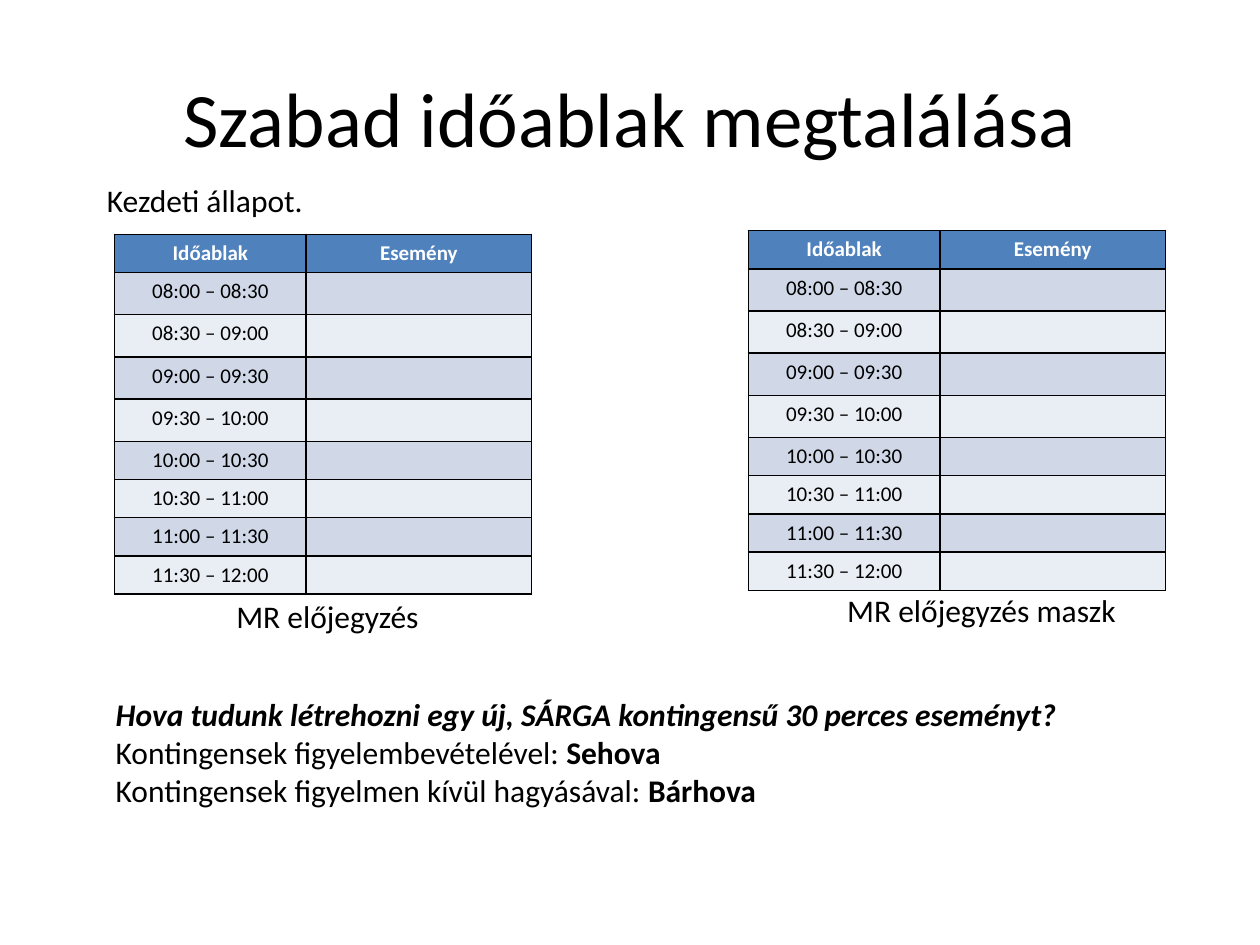
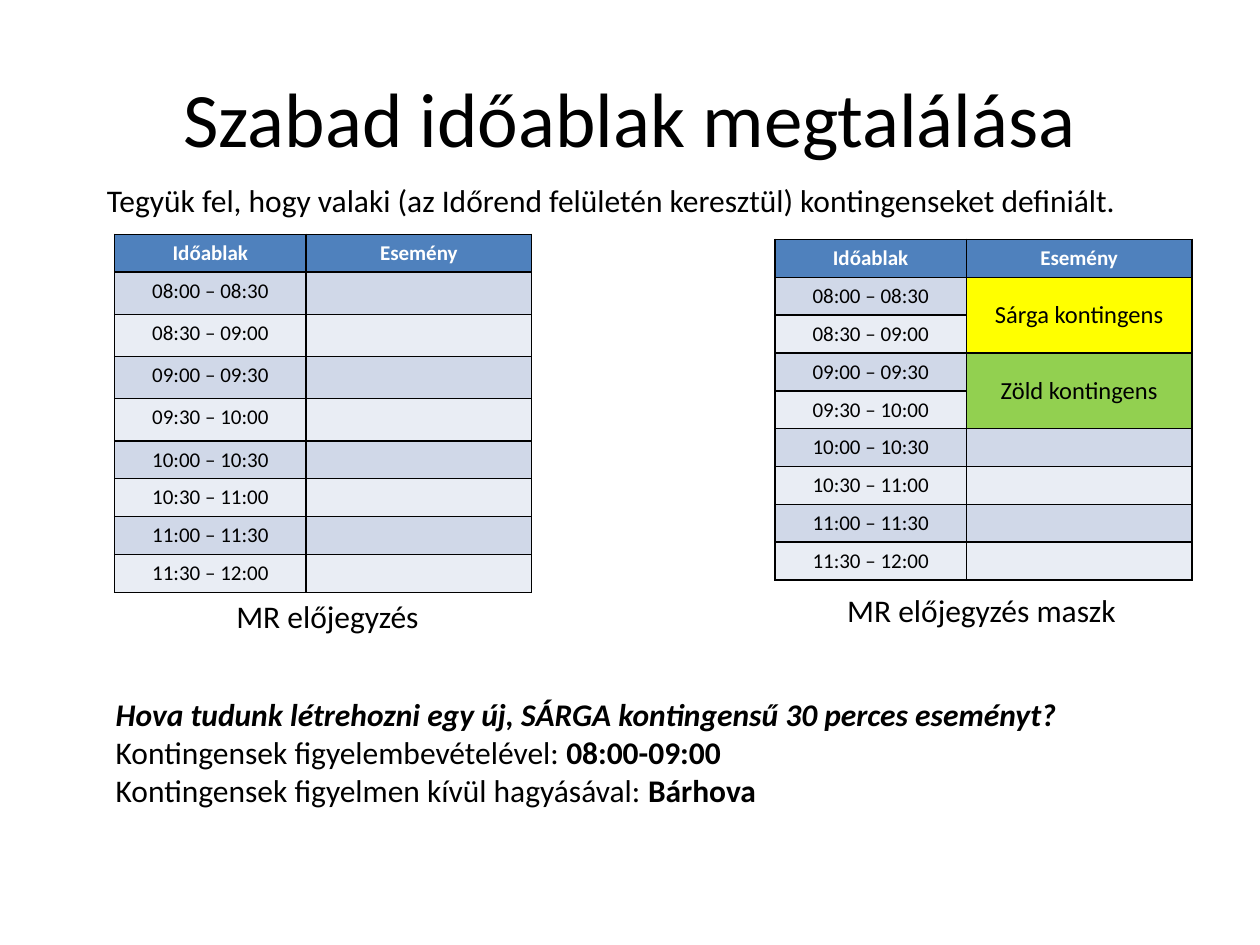
from lxml.etree import SubElement
from pptx import Presentation
from pptx.dml.color import RGBColor
from pptx.enum.text import MSO_ANCHOR as ANCHOR, PP_ALIGN as ALIGN
from pptx.oxml.ns import qn
from pptx.util import Inches, Pt

rgb = RGBColor.from_string
FONT = "Calibri"
BLACK, WHITE, BLUE = "000000", "FFFFFF", "4F81BD"
BANDS = ["D0D8E8", "E9EDF4"]
YELLOW, GREEN = "FFFF00", "92D050"
TIMES = [f"{m // 60:02}:{m % 60:02}" for m in range(480, 721, 30)]
SLOTS = [f"{start} – {end}" for start, end in zip(TIMES, TIMES[1:])]


def write(tf, *lines, size=18, color=BLACK, bold=False, align=ALIGN.LEFT):
    """Fill tf; a line is a string or a list of (text, style), style made of "b" and "i"."""
    for n, line in enumerate(lines):
        p = tf.paragraphs[0] if n == 0 else tf.add_paragraph()
        p.alignment = align
        runs = [(line, "b" if bold else "")] if isinstance(line, str) else line
        for text, style in runs:
            if not text:  # an empty cell keeps its row low only with a set size
                SubElement(p._p, qn("a:endParaRPr"), sz=str(size * 100))
                continue
            r = p.add_run()
            r.text = text
            r.font.name, r.font.size = FONT, Pt(size)
            r.font.bold, r.font.italic = "b" in style, "i" in style
            r.font.color.rgb = rgb(color)


def add_schedule(s, left, top, tall_height, events):
    """Draw the slot table; events maps a row to (text, fill) and covers two rows."""
    rows = len(SLOTS) + 1
    table = s.shapes.add_table(rows, 2, Inches(left), Inches(top),
                               Inches(3.31), Inches(0.3 * rows)).table
    table.columns[0].width, table.columns[1].width = Inches(1.52), Inches(1.79)
    for i, slot in enumerate(["Időablak"] + SLOTS):
        table.rows[i].height = Inches(tall_height if 1 <= i <= 4 else 0.3)
        for j in range(2):
            cell = table.cell(i, j)
            tcPr = cell._tc.get_or_add_tcPr()
            for side in ("a:lnL", "a:lnR", "a:lnT", "a:lnB"):
                ln = SubElement(tcPr, qn(side), w=str(Pt(1)))
                SubElement(SubElement(ln, qn("a:solidFill")), qn("a:srgbClr"), val=BLACK)
            text, fill, size = (slot, "")[j], BANDS[(i - 1) % 2], 12
            if i == 0:
                text, fill = ("Időablak", "Esemény")[j], BLUE
            elif j == 1 and i in events:
                (text, fill), size = events[i], 14
                cell.merge(table.cell(i + 1, j))
                cell.vertical_anchor = ANCHOR.MIDDLE
            cell.fill.solid()
            cell.fill.fore_color.rgb = rgb(fill)
            write(cell.text_frame, text, size=size, bold=i == 0,
                  color=WHITE if i == 0 else BLACK, align=ALIGN.CENTER)


prs = Presentation()
prs.slide_width, prs.slide_height = Inches(10), Inches(7.5)

# intro, intro width, answer, mask table (left, top, height of rows 1-4), mask events
SLIDES = [
    ("Kezdeti állapot.", 1.78, "Sehova", (5.94, 1.83, 0.335), {}),
    ("Tegyük fel, hogy valaki (az Időrend felületén keresztül) kontingenseket definiált.",
     8.38, "08:00-09:00", (6.15, 1.9, 0.3),
     {1: ("Sárga kontingens", YELLOW), 3: ("Zöld kontingens", GREEN)}),
]

for intro, intro_width, answer, mask_place, mask_events in SLIDES:
    s = prs.slides.add_slide(prs.slide_layouts[6])
    add_schedule(s, 0.91, 1.86, 0.335, {})
    add_schedule(s, *mask_place, mask_events)

    question = [
        [("Hova tudunk létrehozni egy új, SÁRGA kontingensű 30 perces eseményt?", "bi")],
        [("Kontingensek figyelembevételével: ", ""), (answer, "b")],
        [("Kontingensek figyelmen kívül hagyásával: ", ""), ("Bárhova", "b")],
    ]
    boxes = [
        ((0.5, 0.3, 9, 1.25), ["Szabad időablak megtalálása"], 44, ALIGN.CENTER),
        ((0.75, 1.39, intro_width, 0.4), [intro], 18, ALIGN.LEFT),
        ((0.75, 4.69, 3.7, 0.4), ["MR előjegyzés"], 18, ALIGN.CENTER),
        ((5.94, 4.64, 3.7, 0.4), ["MR előjegyzés maszk"], 18, ALIGN.CENTER),
        ((0.82, 5.47, 7.76, 1.01), question, 18, ALIGN.LEFT),
    ]
    for place, lines, size, align in boxes:
        tf = s.shapes.add_textbox(*map(Inches, place)).text_frame
        tf.word_wrap = align == ALIGN.CENTER
        tf.vertical_anchor = ANCHOR.MIDDLE if size == 44 else ANCHOR.TOP
        write(tf, *lines, size=size, align=align)

prs.save("out.pptx")
